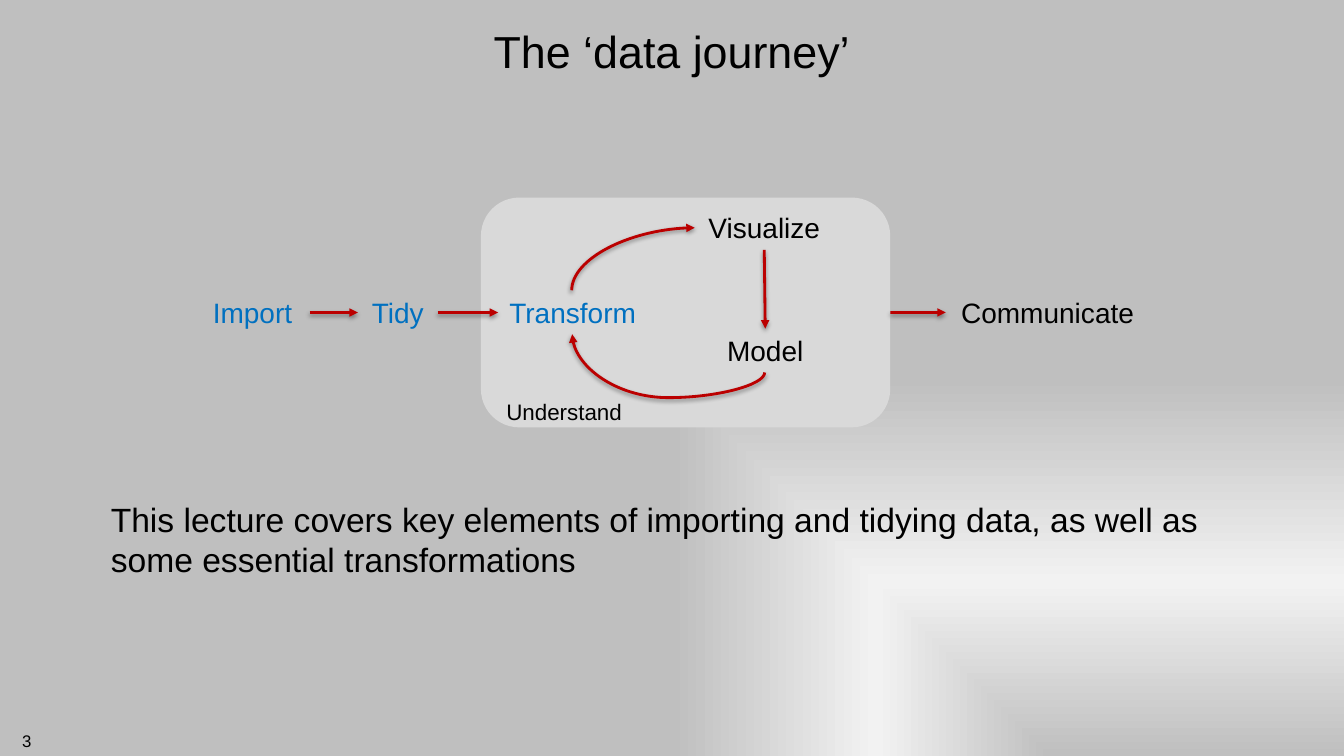
"""Build the 'data journey' slide: a flow from import to communication."""
from lxml.etree import SubElement as Sub
from pptx import Presentation
from pptx.dml.color import RGBColor as Rgb
from pptx.enum.shapes import MSO_CONNECTOR as Link, MSO_SHAPE as Form
from pptx.enum.text import MSO_ANCHOR as Anchor, PP_ALIGN as Align
from pptx.oxml import parse_xml
from pptx.oxml.ns import nsdecls, qn
from pptx.util import Inches, Pt

THEME = {
    "font": "Arial", "ink": "000000", "blue": "0070C0", "red": "BB0000",
    "panel": "D9D9D9", "edge": "BFBFBF", "glow": "F2F2F2",
    "title": 32, "body": 24, "step": 20, "note": 16, "page": 12, "line": 2,
}
TITLE = ("The ‘data journey’", (1, 0, 11.33, 1))
BODY = ("This lecture covers key elements of importing and tidying data, "
        "as well as some essential transformations", (0.86, 4.85, 11.79, 1.85))
PAGE = ("3", (0, 7.2, 0.41, 0.3))
NOTE = ("Understand", (4.64, 3.9, 1.91, 0.37))
PANEL = (4.77, 1.96, 4.06, 2.28)
STEP_H = 0.44
STEPS = [
    ("Import", 1.94, 2.88, 1.13, "blue"),
    ("Tidy", 3.55, 2.88, 0.79, "blue"),
    ("Transform", 4.94, 2.88, 1.48, "blue"),
    ("Visualize", 6.89, 2.04, 1.38, "ink"),
    ("Model", 7.09, 3.26, 1, "ink"),
    ("Communicate", 9.38, 2.88, 2.02, "ink"),
]
ARROWS = [
    ("Import", 3, "Tidy", 1),
    ("Tidy", 3, "Transform", 1),
    ("Panel", 3, "Communicate", 1),
    ("Visualize", 2, "Model", 0),
]
CURVES = [
    ("Model", 2, "Transform", 2, (6.44, 2.55, 0.38, 1.91),
     "curvedConnector3", "0", -65900),
    ("Transform", 0, "Visualize", 1, (5.97, 1.96, 0.62, 1.22),
     "curvedConnector2", "1", None),
]


def place(shape, box):
    for name, size in zip(("left", "top", "width", "height"), box):
        setattr(shape, name, Inches(size))


def write(shape, text, size, color="ink", align=Align.CENTER, **frame):
    tf = shape.text_frame
    for name, value in {"word_wrap": True, **frame}.items():
        setattr(tf, name, value)
    par = tf.paragraphs[0]
    par.alignment = align
    run = par.add_run()
    run.text = text
    look = {"name": THEME["font"], "size": Pt(THEME[size])}
    for name, value in look.items():
        setattr(run.font, name, value)
    run.font.color.rgb = Rgb.from_string(THEME[color])
    return par


def label(slide, text, box, size, **look):
    shape = slide.shapes.add_textbox(*map(Inches, box))
    return shape, write(shape, text, size, **look)


def paint(slide):
    stops = ((0, "edge"), (46000, "glow"), (100000, "edge"))
    marks = "".join(f'<a:gs pos="{pos}"><a:srgbClr val="{THEME[key]}"/></a:gs>'
                    for pos, key in stops)
    slide.element.cSld.insert(0, parse_xml(
        f'<p:bg {nsdecls("p", "a")}><p:bgPr><a:gradFill rotWithShape="1">'
        f'<a:gsLst>{marks}</a:gsLst><a:path path="rect">'
        '<a:fillToRect l="100000" t="100000"/></a:path></a:gradFill>'
        '<a:effectLst/></p:bgPr></p:bg>'))


def join(slide, nodes, start, out, end, into, kind=Link.STRAIGHT):
    line = slide.shapes.add_connector(kind, 0, 0, 0, 0)
    line.begin_connect(nodes[start], out)
    line.end_connect(nodes[end], into)
    line.line.color.rgb = Rgb.from_string(THEME["red"])
    line.line.width = Pt(THEME["line"])
    props = line.element.spPr
    Sub(props.find(qn("a:ln")), qn("a:tailEnd"), type="triangle")
    effect = Sub(props, qn("a:effectLst"))
    shade = Sub(effect, qn("a:outerShdw"), blurRad="40000", dist="20000",
                dir="5400000", rotWithShape="0")
    tint = Sub(shade, qn("a:srgbClr"), val=THEME["ink"])
    Sub(tint, qn("a:alpha"), val="38000")
    return line


def bend(line, box, form, flip, adjust):
    place(line, box)
    props = line.element.spPr
    turn = {"rot": "5400000", "flipH": "1", "flipV": flip}
    for name, value in turn.items():
        props.find(qn("a:xfrm")).set(name, value)
    geom = props.find(qn("a:prstGeom"))
    geom.set("prst", form)
    if adjust is not None:
        Sub(geom.find(qn("a:avLst")), qn("a:gd"), name="adj1",
            fmla=f"val {adjust}")


def main():
    deck = Presentation()
    deck.slide_width, deck.slide_height = Inches(13.33), Inches(7.5)
    slide = deck.slides.add_slide(deck.slide_layouts[5])
    paint(slide)
    inset = {"margin_top": Inches(0.1), "margin_bottom": Inches(0.1)}

    title = slide.shapes.title
    place(title, TITLE[1])
    write(title, TITLE[0], "title", vertical_anchor=Anchor.MIDDLE, **inset)
    label(slide, *PAGE, "page", align=Align.RIGHT, word_wrap=False)
    _, par = label(slide, *BODY, "body", align=Align.LEFT, **inset)
    par.space_before = Pt(12)
    indent = {"marL": Inches(0.14), "indent": 0}
    for name, value in indent.items():
        par._p.get_or_add_pPr().set(name, str(value))

    panel = slide.shapes.add_shape(Form.ROUNDED_RECTANGLE, *map(Inches, PANEL))
    panel.shadow.inherit = False
    panel.fill.solid()
    panel.fill.fore_color.rgb = Rgb.from_string(THEME["panel"])
    panel.line.fill.background()

    nodes = {"Panel": panel}
    for text, x, y, wide, color in STEPS:
        box = (x, y, wide, STEP_H)
        nodes[text], _ = label(slide, text, box, "step", color=color)
    for ends in ARROWS:
        join(slide, nodes, *ends)
    for *ends, box, form, flip, adjust in CURVES:
        line = join(slide, nodes, *ends, kind=Link.CURVE)
        bend(line, box, form, flip, adjust)
    label(slide, *NOTE, "note")
    deck.save("out.pptx")


if __name__ == "__main__":
    main()
